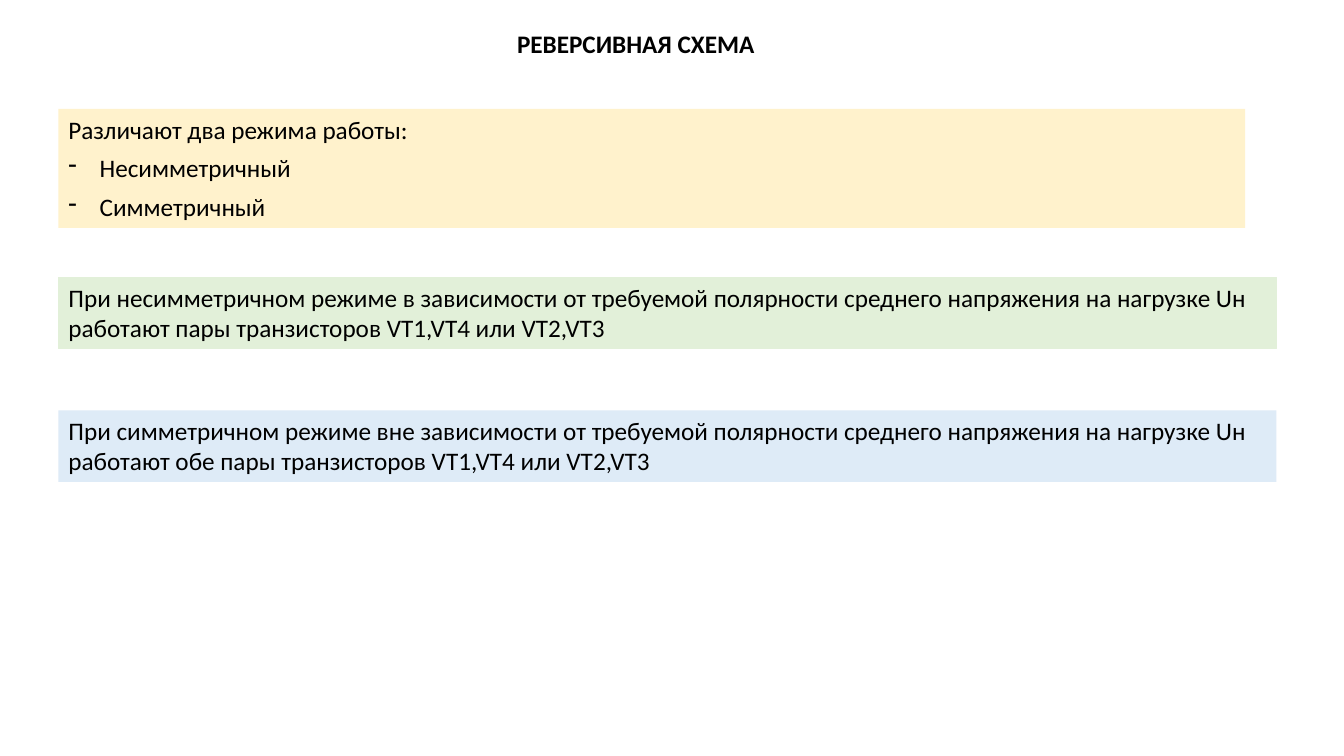
from lxml import etree
from pptx import Presentation
from pptx.dml.color import RGBColor
from pptx.enum.shapes import MSO_SHAPE
from pptx.enum.text import MSO_ANCHOR, MSO_AUTO_SIZE, PP_ALIGN
from pptx.oxml.ns import qn
from pptx.util import Inches, Pt

RECTANGLE = MSO_SHAPE.RECTANGLE
TOP = MSO_ANCHOR.TOP
GROW = MSO_AUTO_SIZE.SHAPE_TO_FIT_TEXT
LEFT = PP_ALIGN.LEFT

BLACK = RGBColor(0x00, 0x00, 0x00)
YELLOW = RGBColor(0xFF, 0xF2, 0xCC)
GREEN = RGBColor(0xE2, 0xF0, 0xD9)
BLUE = RGBColor(0xDE, 0xEB, 0xF7)

MARGIN = 0.58
INDENT = Inches(0.31)


def add_run(p, text, bold=False):
    """Add a black 18 pt run to a paragraph."""
    r = p.add_run()
    r.text = text
    r.font.name = "Calibri"
    r.font.size = Pt(18)
    r.font.bold = bold
    r.font.color.rgb = BLACK


def add_dash(p):
    """Give a paragraph a hanging dash bullet."""
    pPr = p._p.get_or_add_pPr()
    pPr.set("marL", str(INDENT))
    pPr.set("indent", str(-INDENT))
    etree.SubElement(pPr, qn("a:buChar")).set("char", "-")


def add_title(s, text):
    """Add the bold slide heading."""
    tb = s.shapes.add_textbox(Inches(5.03), Inches(0.23), Inches(2.67), Inches(0.4))
    tf = tb.text_frame
    tf.auto_size = GROW
    tf.word_wrap = False
    add_run(tf.paragraphs[0], text, bold=True)


def add_panel(s, top, width, height, fill, text, items=(), line=None):
    """Add a filled panel with a statement and optional dashed items."""
    sp = s.shapes.add_shape(
        RECTANGLE, Inches(MARGIN), Inches(top), Inches(width), Inches(height))
    sp.shadow.inherit = False
    sp.fill.solid()
    sp.fill.fore_color.rgb = fill
    if line is None:
        sp.line.fill.background()
    else:
        sp.line.color.rgb = line
        sp.line.width = Pt(0.75)
    tf = sp.text_frame
    tf.word_wrap = True
    tf.auto_size = GROW
    tf.vertical_anchor = TOP
    for i, words in enumerate([text, *items]):
        p = tf.add_paragraph() if i else tf.paragraphs[0]
        p.alignment = LEFT
        p.space_before = Pt(6)
        if i:
            add_dash(p)
        add_run(p, words)


def main():
    """Build the slide and save it."""
    prs = Presentation()
    prs.slide_width = Inches(13.33)
    prs.slide_height = Inches(7.5)
    s = prs.slides.add_slide(prs.slide_layouts[6])
    add_title(s, "РЕВЕРСИВНАЯ СХЕМА")
    add_panel(s, 1.08, 11.77, 1.18, YELLOW, "Различают два режима работы:",
              items=["Несимметричный", "Симметричный"])
    add_panel(s, 2.75, 12.08, 0.71, GREEN,
              "При несимметричном режиме в зависимости от требуемой полярности "
              "среднего напряжения на нагрузке Uн работают пары транзисторов "
              "VT1,VT4 или VT2,VT3", line=GREEN)
    add_panel(s, 4.07, 12.08, 0.71, BLUE,
              "При симметричном режиме вне зависимости от требуемой полярности "
              "среднего напряжения на нагрузке Uн работают обе пары транзисторов "
              "VT1,VT4 или VT2,VT3")
    prs.save("out.pptx")


if __name__ == "__main__":
    main()
